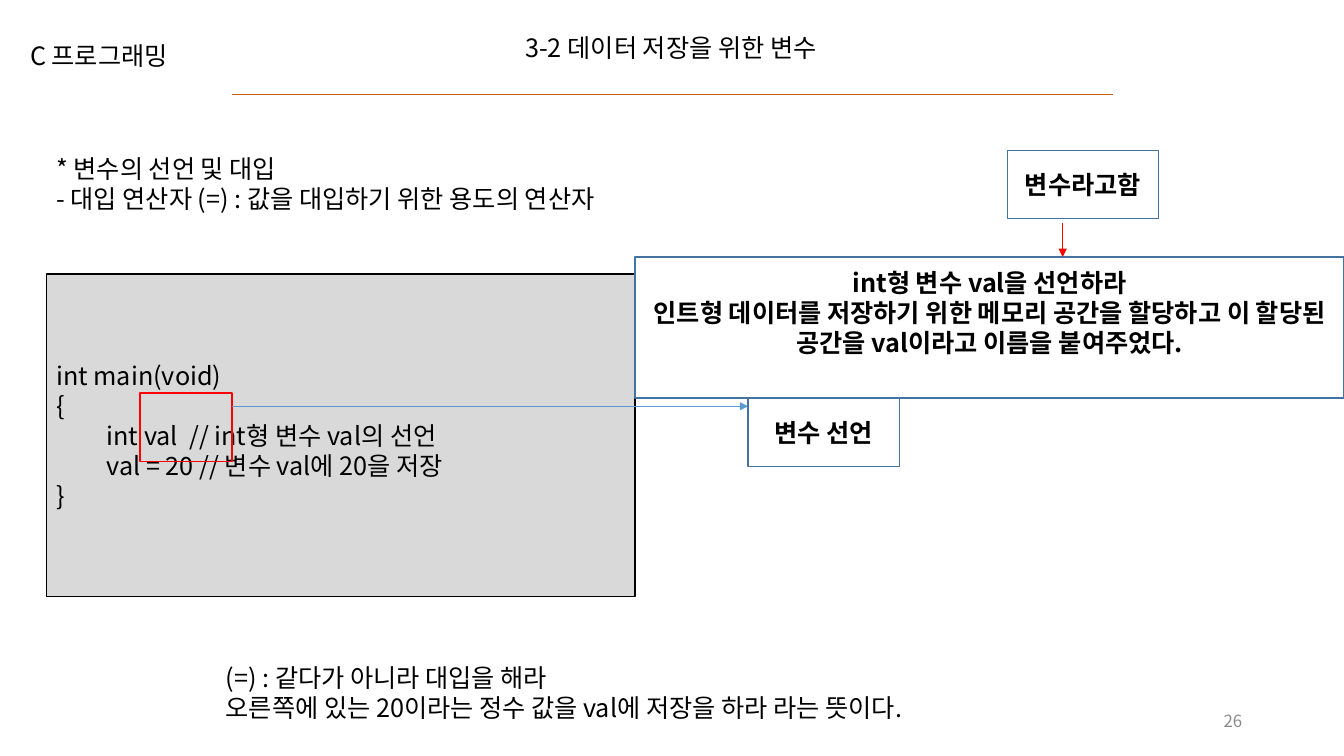
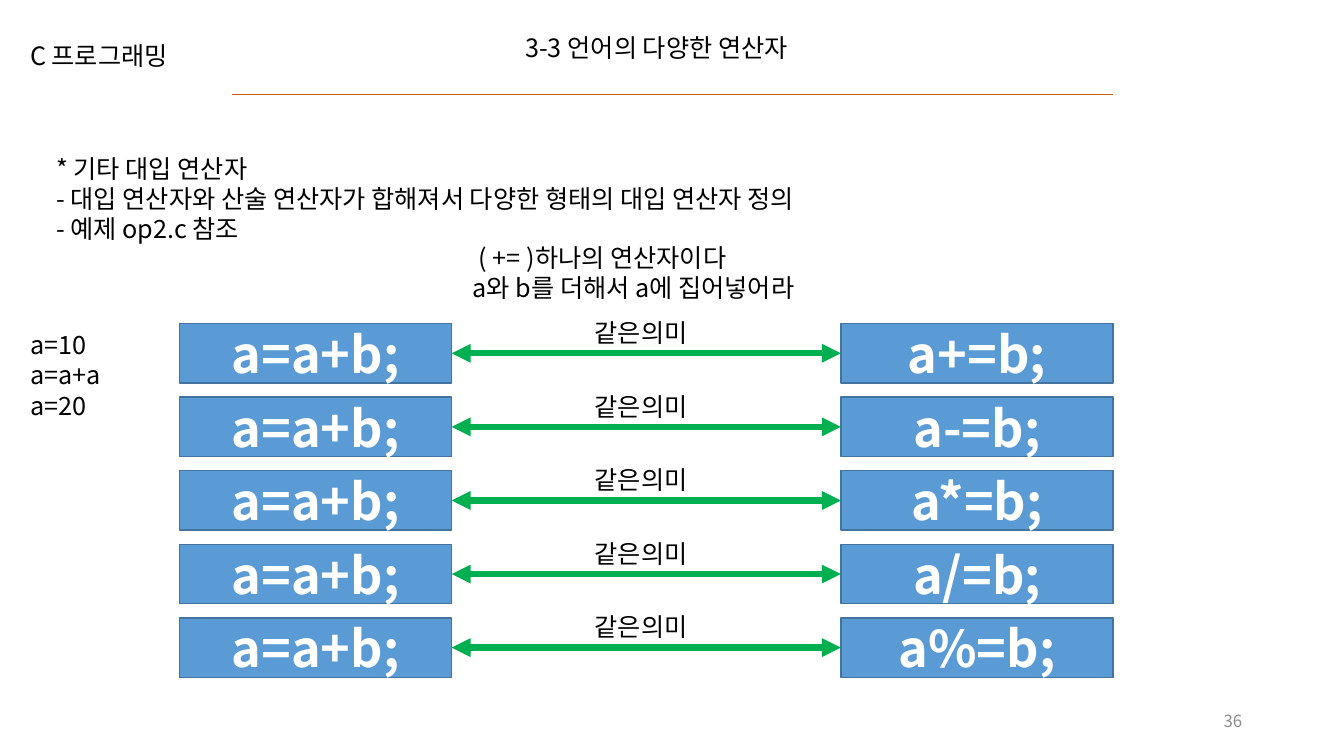
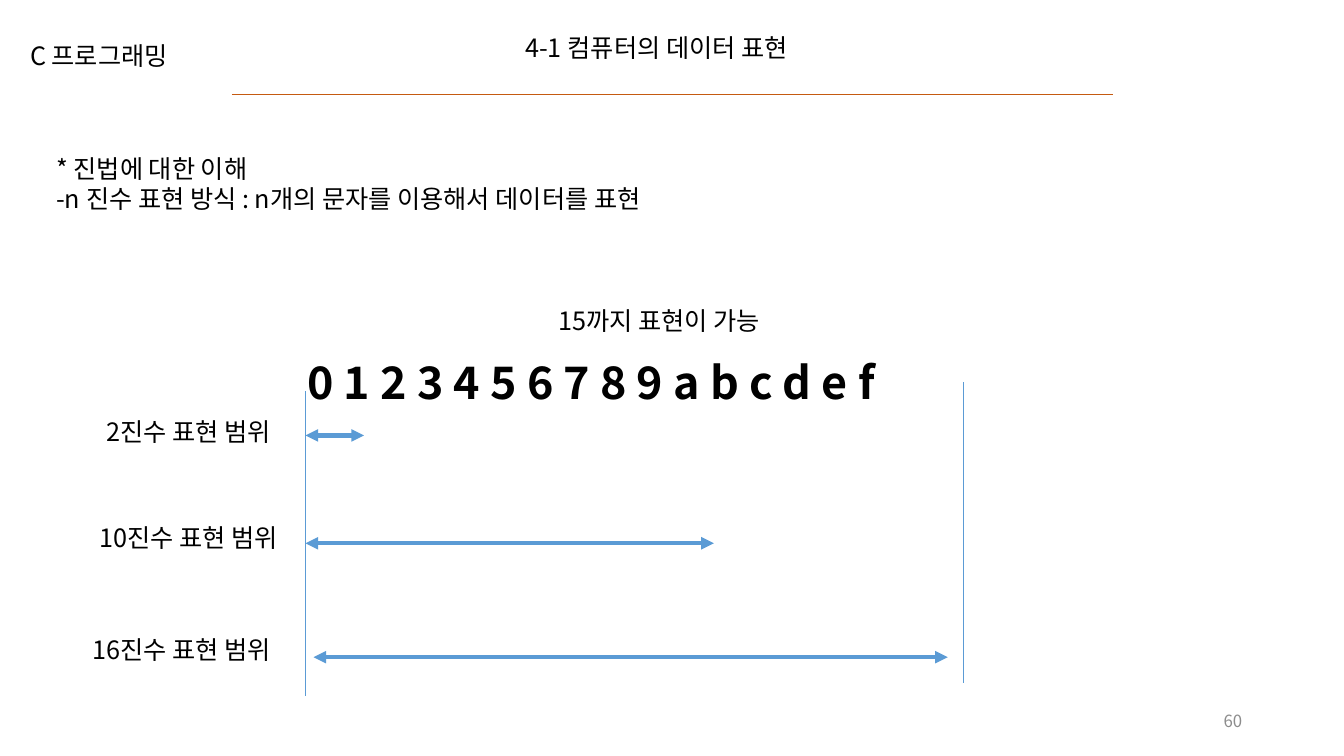
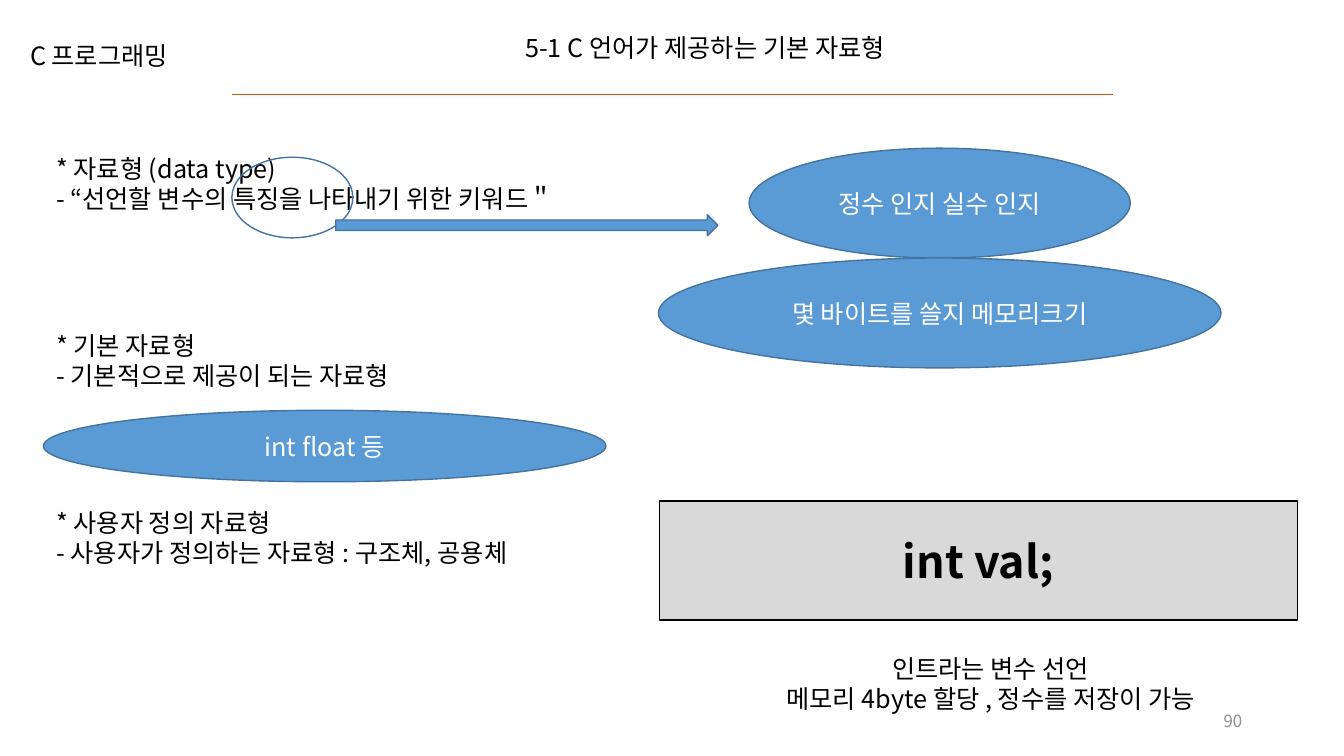
from lxml.etree import SubElement
from pptx import Presentation
from pptx.dml.color import RGBColor
from pptx.enum.shapes import MSO_CONNECTOR, MSO_SHAPE as SHAPE
from pptx.enum.text import MSO_ANCHOR as ANCHOR, MSO_AUTO_SIZE, PP_ALIGN as ALIGN
from pptx.oxml.ns import qn
from pptx.util import Pt

SCALE = 9144  # EMU in one px, 100 px to the inch
FONT = "Noto Sans CJK KR"
COLORS = {
    "black": "000000", "white": "FFFFFF", "panel": "D9D9D9", "blue": "5B9BD5",
    "outline": "43739E", "red": "FF0000", "green": "00B050",
    "rule": "C55A11", "number": "8C8C8C",
}


def px(*lengths):
    return [length * SCALE for length in lengths]


def rgb(name):
    return RGBColor.from_string(COLORS[name])


class Course:
    """Holds the shared style and the slide being built."""

    def __init__(self):
        self.deck = Presentation()
        self.deck.slide_width, self.deck.slide_height = px(1333, 750)
        self.page = None

    def start(self, title, title_width, number):
        """Add a slide with its header and slide number."""
        self.page = self.deck.slides.add_slide(self.deck.slide_layouts[5])
        heading = self.page.shapes.title
        places = zip(("left", "top", "width", "height"), px(511, 27, title_width, 40))
        for key, value in places:
            setattr(heading, key, value)
        self.fill_text(heading, [title])
        self.line(230, 94, 1104, 94, "rule")
        self.text(20, 35, 171, 40, "C 프로그래밍")
        self.text(942, 695, 300, 40, str(number), size=12, color="number",
                  align=ALIGN.RIGHT, anchor=ANCHOR.MIDDLE)

    def fill_text(self, box, lines, size=18, color="black", bold=False,
                  align=ALIGN.LEFT, anchor=ANCHOR.TOP, margin_top=5):
        """Fill a box with one paragraph for each line."""
        frame = box.text_frame
        layout = {"word_wrap": True, "auto_size": MSO_AUTO_SIZE.NONE,
                  "vertical_anchor": anchor, "margin_top": margin_top * SCALE}
        for key, value in layout.items():
            setattr(frame, key, value)
        for index, line in enumerate(lines):
            para = frame.add_paragraph() if index else frame.paragraphs[0]
            para.alignment = align
            span = para.add_run()
            span.text = line
            span.font.color.rgb = rgb(color)
            for key, value in {"size": Pt(size), "bold": bold, "name": FONT}.items():
                setattr(span.font, key, value)
            SubElement(span._r.get_or_add_rPr(), qn("a:ea"), typeface=FONT)

    def text(self, left, top, width, height, *lines, **style):
        box = self.page.shapes.add_textbox(*px(left, top, width, height))
        self.fill_text(box, lines, **style)
        return box

    def shape(self, kind, left, top, width, height, *lines, fill=None,
              outline="outline", **style):
        box = self.page.shapes.add_shape(kind, *px(left, top, width, height))
        box.shadow.inherit = False
        if fill:
            box.fill.solid()
            box.fill.fore_color.rgb = rgb(fill)
        else:
            box.fill.background()
        box.line.color.rgb = rgb(outline)
        box.line.width = Pt(1)
        if lines:
            self.fill_text(box, lines,
                           **{"align": ALIGN.CENTER, "anchor": ANCHOR.MIDDLE, **style})
        return box

    def line(self, x1, y1, x2, y2, color, weight=0.5, heads=()):
        """Draw a straight line; heads may name headEnd and tailEnd."""
        link = self.page.shapes.add_connector(MSO_CONNECTOR.STRAIGHT, *px(x1, y1, x2, y2))
        link.line.color.rgb = rgb(color)
        link.line.width = Pt(weight)
        for end in heads:
            SubElement(link.line._get_or_add_ln(), qn(f"a:{end}"), type="triangle")
        SubElement(link._element.spPr, qn("a:effectLst"))
        return link


TAIL = ("tailEnd",)
BOTH = ("headEnd", "tailEnd")


def build_variables(course):
    course.start("3-2 데이터 저장을 위한 변수", 346, 26)
    course.text(46, 147, 629, 71, "* 변수의 선언 및 대입",
                "- 대입 연산자 (=) : 값을 대입하기 위한 용도의 연산자")
    # Code panel
    course.shape(SHAPE.RECTANGLE, 46, 272, 584, 320,
                 "int main(void)", "{", "\tint val  // int형 변수 val의 선언",
                 "\tval = 20 // 변수 val에 20을 저장", "}",
                 fill="panel", outline="black", align=ALIGN.LEFT)
    # Explanations
    course.shape(SHAPE.RECTANGLE, 630, 255, 703, 140, "int형 변수 val을 선언하라",
                 "인트형 데이터를 저장하기 위한 메모리 공간을 할당하고 이 할당된 "
                 "공간을 val이라고 이름을 붙여주었다.",
                 bold=True, anchor=ANCHOR.TOP, margin_top=10)
    course.shape(SHAPE.RECTANGLE, 139, 390, 91, 68, outline="red")
    course.line(230, 403, 742, 403, "blue", heads=TAIL)
    for left, top, label in ((742, 395, "변수 선언"), (999, 149, "변수라고함")):
        course.shape(SHAPE.RECTANGLE, left, top, 150, 68, label, bold=True)
    course.line(1054, 221, 1054, 255, "red", heads=TAIL)
    course.text(214, 652, 771, 71, "(=) : 같다가 아니라 대입을 해라",
                "오른쪽에 있는 20이라는 정수 값을 val에 저장을 하라 라는 뜻이다.")


def build_operators(course):
    course.start("3-3 언어의 다양한 연산자", 312, 36)
    course.text(46, 147, 852, 101, "* 기타 대입 연산자",
                "- 대입 연산자와 산술 연산자가 합해져서 다양한 형태의 대입 연산자 정의",
                "- 예제 op2.c 참조")
    # Pairs of equal expressions
    style = {"fill": "blue", "size": 36, "color": "white", "bold": True}
    for row, operator in enumerate("+-*/%"):
        top = 321 + 73 * row
        long_form = course.shape(SHAPE.RECTANGLE, 178, top, 270, 59, "a=a+b;", **style)
        short_form = course.shape(SHAPE.RECTANGLE, 834, top, 270, 59, f"a{operator}=b;", **style)
        arrow = course.line(448, top + 29, 834, top + 29, "green", 4.5, BOTH)
        arrow.begin_connect(long_form, 3)
        arrow.end_connect(short_form, 1)
        course.text(580, top - 11, 121, 40, "같은의미")
    # Side notes
    course.text(20, 322, 95, 101, "a=10", "a=a+a", "a=20")
    note = course.text(459, 235, 375, 71, "( += )하나의 연산자이다",
                       "a와 b를 더해서 a에 집어넣어라")
    note.text_frame.paragraphs[0]._p.get_or_add_pPr().set("marL", str(6 * SCALE))


def build_number_systems(course):
    course.start("4-1 컴퓨터의 데이터 표현", 312, 60)
    course.text(46, 147, 676, 71, "* 진법에 대한 이해",
                "-n 진수 표현 방식 : n개의 문자를 이용해서 데이터를 표현")
    course.text(544, 298, 242, 40, "15까지 표현이 가능")
    course.text(295, 347, 660, 64, "0 1 2 3 4 5 6 7 8 9 a b c d e f", size=32, bold=True)
    # Range of digits in each system
    ranges = (
        (2, 96, 408, 203, 303, 361, 432),
        (10, 89, 513, 217, 303, 708, 539),
        (16, 82, 624, 217, 311, 940, 652),
    )
    for base, left, top, width, start, end, y in ranges:
        course.text(left, top, width, 40, f"{base}진수 표현 범위")
        course.line(start, y, end, y, "blue", 3, BOTH)
    for x, top, bottom in ((303, 388, 690), (955, 379, 678)):
        course.line(x, top, x, bottom, "blue")


def build_data_types(course):
    course.start("5-1 C 언어가 제공하는 기본 자료형", 422, 90)
    # Definitions
    definitions = (
        (147, 573, "* 자료형 (data type)", "- “선언할 변수의 특징을 나타내기 위한 키워드＂"),
        (323, 394, "* 기본 자료형", "- 기본적으로 제공이 되는 자료형"),
        (498, 525, "* 사용자 정의 자료형", "- 사용자가 정의하는 자료형 : 구조체, 공용체"),
    )
    for top, width, *lines in definitions:
        course.text(46, top, width, 71, *lines)
    # Example declaration
    course.shape(SHAPE.RECTANGLE, 654, 497, 633, 118, "int val;",
                 fill="panel", outline="black", size=32, bold=True)
    course.text(747, 643, 471, 71, "인트라는 변수 선언",
                "메모리 4byte 할당 , 정수를 저장이 가능", align=ALIGN.CENTER)
    # Bubbles, keyword ring and arrow
    bubbles = (
        (743, 147, 378, 109, "정수 인지 실수 인지"),
        (653, 256, 558, 109, "몇 바이트를 쓸지 메모리크기"),
        (43, 407, 558, 71, "int float 등"),
    )
    for bubble in bubbles:
        course.shape(SHAPE.OVAL, *bubble, fill="blue", color="white")
    course.shape(SHAPE.OVAL, 230, 156, 120, 80)
    course.shape(SHAPE.RIGHT_ARROW, 333, 213, 379, 21, fill="blue")


def main():
    course = Course()
    for build in (build_variables, build_operators, build_number_systems, build_data_types):
        build(course)
    course.deck.save("out.pptx")


if __name__ == "__main__":
    main()
